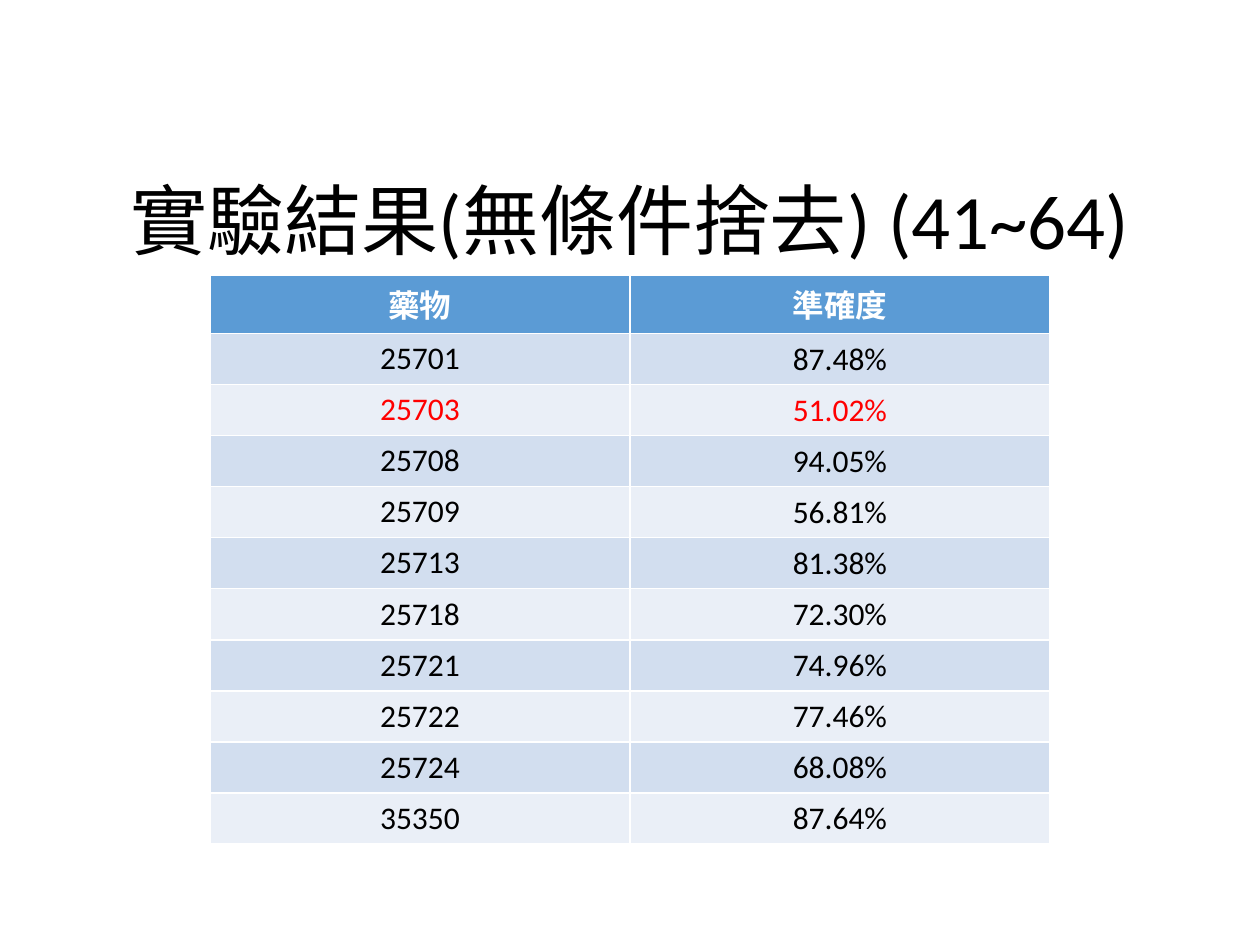
from pptx import Presentation
from pptx.dml.color import RGBColor
from pptx.enum.text import MSO_ANCHOR, PP_ALIGN
from pptx.util import Emu, Pt

MIDDLE = MSO_ANCHOR.MIDDLE
TOP = MSO_ANCHOR.TOP
CENTER = PP_ALIGN.CENTER

EMU_PER_PX = 914400 / 126
FONT = "Calibri"
COLORS = {
    "header": "5B9BD5",
    "odd_row": "D2DEEF",
    "even_row": "EAEFF7",
    "header_text": "FFFFFF",
    "text": "000000",
    "alert": "FF0000",
}
HEADINGS = ("藥物", "準確度")
RESULTS = [
    ("25701", "87.48%"),
    ("25703", "51.02%"),
    ("25708", "94.05%"),
    ("25709", "56.81%"),
    ("25713", "81.38%"),
    ("25718", "72.30%"),
    ("25721", "74.96%"),
    ("25722", "77.46%"),
    ("25724", "68.08%"),
    ("35350", "87.64%"),
]
ALERT_DRUG = "25703"


def px(length):
    return Emu(round(length * EMU_PER_PX))


def rgb(name):
    return RGBColor.from_string(COLORS[name])


def format_text(paragraph, size, color, bold=False):
    paragraph.alignment = CENTER
    for run in paragraph.runs:
        run.font.name = FONT
        run.font.size = Pt(size)
        run.font.bold = bold
        run.font.color.rgb = rgb(color)


def add_title(slide, left, top, width, height, wording):
    title = slide.shapes.add_textbox(px(left), px(top), px(width), px(height))
    frame = title.text_frame
    frame.word_wrap = True
    frame.vertical_anchor = MIDDLE
    frame.text = wording
    heading = frame.paragraphs[0]
    heading.line_spacing = 0.9
    format_text(heading, 44, "text")


def fill_cell(cell, wording, fill, color, bold=False):
    cell.fill.solid()
    cell.fill.fore_color.rgb = rgb(fill)
    cell.vertical_anchor = TOP
    cell.text_frame.text = wording
    format_text(cell.text_frame.paragraphs[0], 18, color, bold)


def center_accuracy(cell):
    cell.vertical_anchor = MIDDLE
    cell.margin_left = cell.margin_right = cell.margin_top = px(1)
    cell.margin_bottom = 0


def add_results(slide, left, top, width, height):
    row_count = len(RESULTS) + 1
    table = slide.shapes.add_table(
        row_count, len(HEADINGS), px(left), px(top), px(width), px(height)
    ).table
    for row in table.rows:
        row.height = px(height / row_count)
    for column, heading in enumerate(HEADINGS):
        fill_cell(table.cell(0, column), heading, "header", "header_text", True)
    for index, (drug, accuracy) in enumerate(RESULTS, start=1):
        fill = "odd_row" if index % 2 else "even_row"
        color = "alert" if drug == ALERT_DRUG else "text"
        fill_cell(table.cell(index, 0), drug, fill, color)
        fill_cell(table.cell(index, 1), accuracy, fill, color)
        center_accuracy(table.cell(index, 1))


def main():
    presentation = Presentation()
    presentation.slide_width = px(1260)
    presentation.slide_height = px(945)
    slide = presentation.slides.add_slide(presentation.slide_layouts[6])
    add_results(slide, 210, 275, 840, 520)
    add_title(slide, 87, 156, 1086, 137, "實驗結果(無條件捨去) (41~64)")
    presentation.save("out.pptx")


if __name__ == "__main__":
    main()
